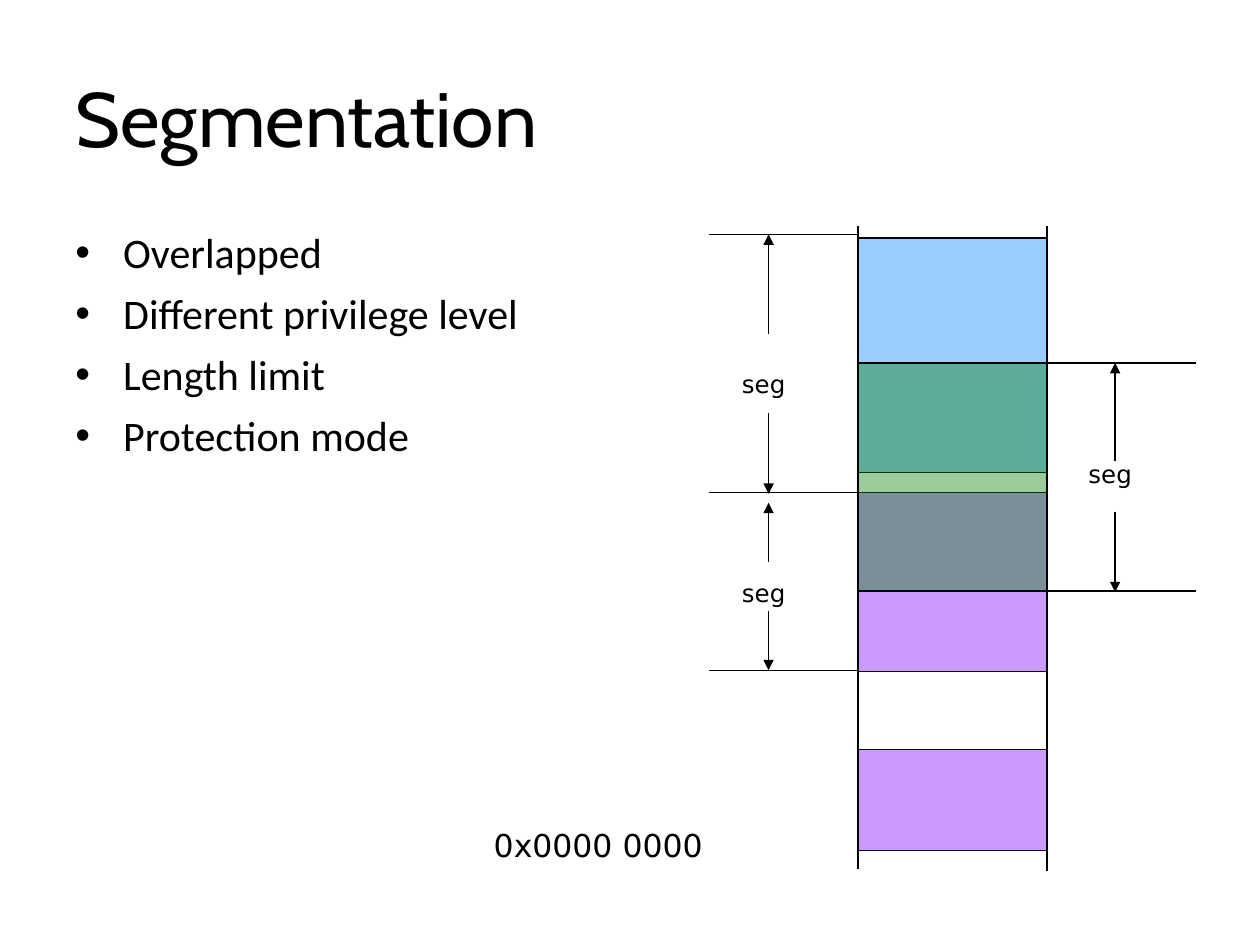
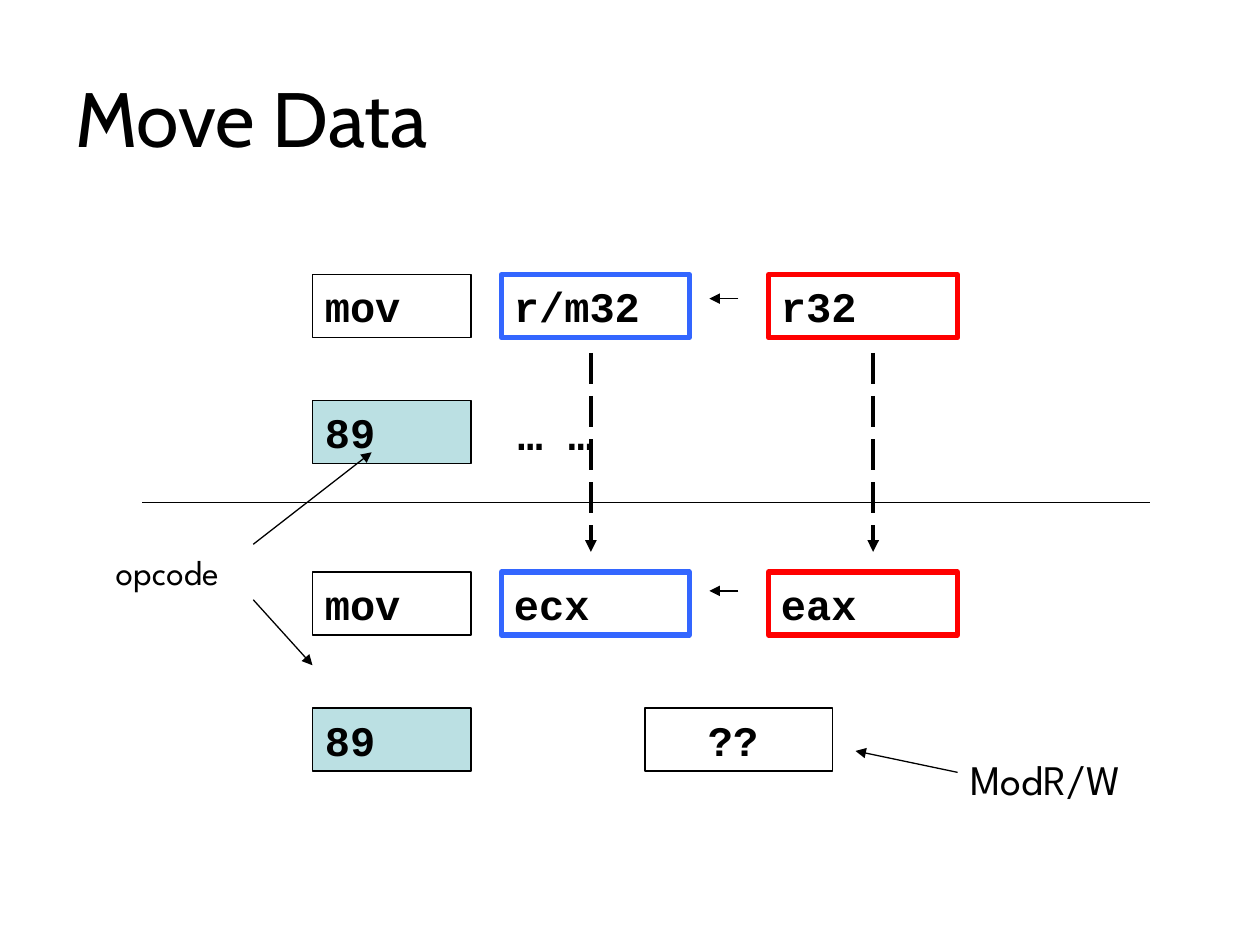
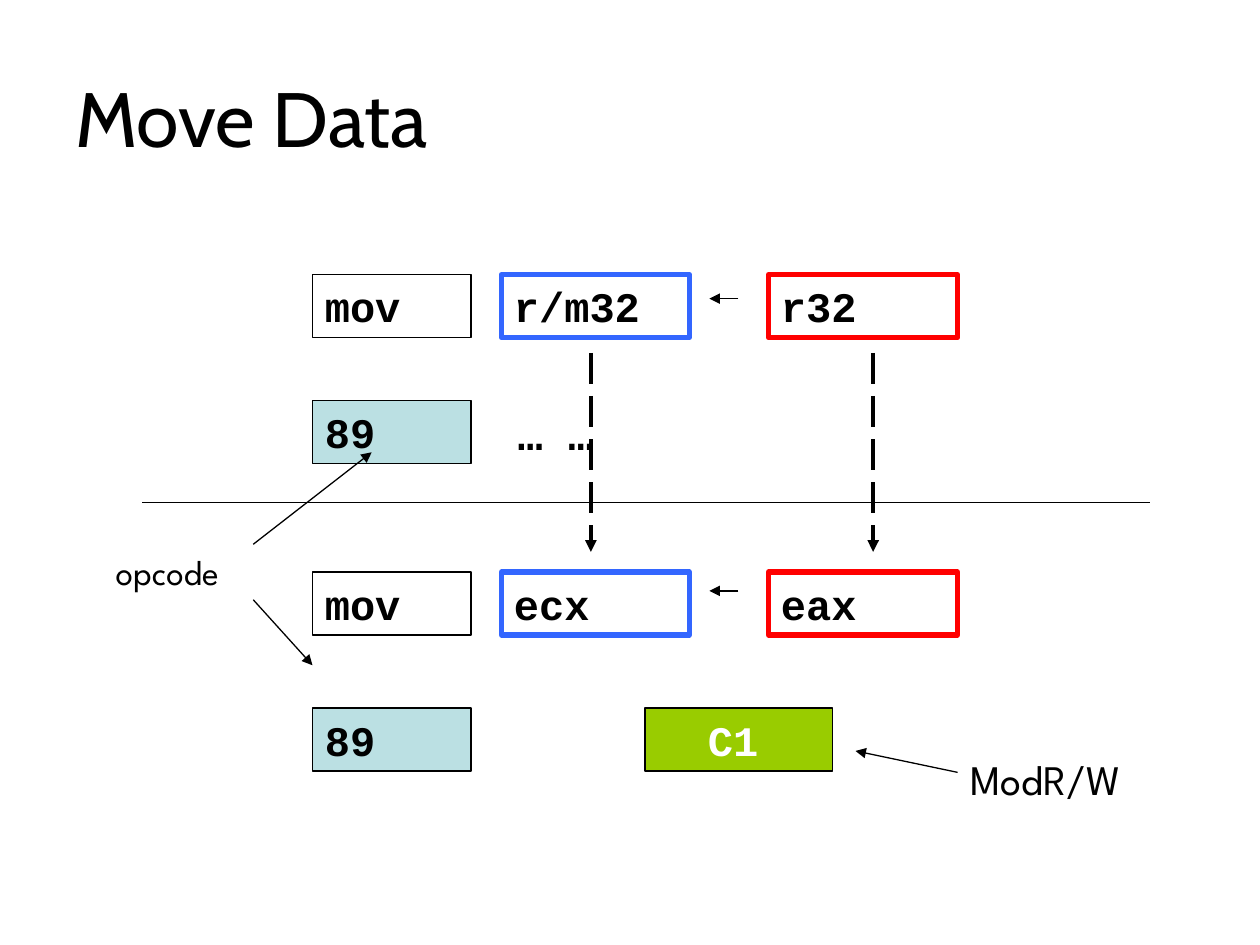
from dataclasses import dataclass

from lxml import etree
from pptx import Presentation
from pptx.dml.color import RGBColor
from pptx.enum.dml import MSO_LINE
from pptx.enum.shapes import MSO_CONNECTOR, MSO_SHAPE
from pptx.enum.text import MSO_ANCHOR, MSO_AUTO_SIZE, PP_ALIGN
from pptx.oxml.ns import qn
from pptx.util import Inches, Pt

RECTANGLE = MSO_SHAPE.RECTANGLE
STRAIGHT = MSO_CONNECTOR.STRAIGHT
LONG_DASH = MSO_LINE.LONG_DASH
TOP, MIDDLE = MSO_ANCHOR.TOP, MSO_ANCHOR.MIDDLE
GROW = MSO_AUTO_SIZE.SHAPE_TO_FIT_TEXT
LEFT = PP_ALIGN.LEFT


@dataclass(frozen=True)
class TextStyle:
    font: str
    size: int
    before: float = 0
    bold: bool = False


@dataclass(frozen=True)
class Theme:
    black: str = "000000"
    white: str = "FFFFFF"
    sky: str = "99CCFF"
    violet: str = "CC99FF"
    green: str = "008000"
    opcode: str = "BBE0E3"
    target: str = "3366FF"
    origin: str = "FF0000"
    solved: str = "99CC00"
    thin: float = 0.74
    dashed: float = 2.24
    thick: float = 3
    title: TextStyle = TextStyle("Cabin", 44)
    body: TextStyle = TextStyle("Calibri", 24, 6)
    address: TextStyle = TextStyle("DejaVu Sans", 18, 11.2)
    segment: TextStyle = TextStyle("DejaVu Sans", 14, 8.8)
    code: TextStyle = TextStyle("Courier New", 24, 15, True)
    note: TextStyle = TextStyle("League Spartan", 24, 15)
    small_note: TextStyle = TextStyle("League Spartan", 20, 12.5)


THEME = Theme()


@dataclass(frozen=True)
class Box:
    left: float
    top: float
    width: float
    height: float

    def at(self, x, y):
        return Inches(self.left + x), Inches(self.top + y)

    def inner(self, x, y, width, height):
        return Box(self.left + x, self.top + y, width, height)

    def frame(self):
        return (*self.at(0, 0), Inches(self.width), Inches(self.height))


# Shared drawing helpers
def write(shape, lines, style, color=THEME.black, anchor=TOP, indent=0):
    frame = shape.text_frame
    frame.text = "\n".join(lines)
    frame.word_wrap = True
    frame.vertical_anchor = anchor
    for paragraph in frame.paragraphs:
        paragraph.alignment = LEFT
        paragraph.space_before = Pt(style.before)
        if indent:
            paragraph._p.get_or_add_pPr().set("marL", str(Inches(indent)))
        font = paragraph.runs[0].font
        font.name, font.size, font.bold = style.font, Pt(style.size), style.bold
        font.color.rgb = RGBColor.from_string(color)
    return frame


def add_label(slide, box, text, style):
    write(slide.shapes.add_textbox(*box.frame()), [text], style).auto_size = GROW


def add_block(slide, box, fill=None, line=THEME.black, weight=THEME.thin, opacity=None):
    block = slide.shapes.add_shape(RECTANGLE, *box.frame())
    block.shadow.inherit = False
    if fill:
        block.fill.solid()
        block.fill.fore_color.rgb = RGBColor.from_string(fill)
    else:
        block.fill.background()
    if opacity:
        color = block._element.spPr.find(qn("a:solidFill"))[0]
        etree.SubElement(color, qn("a:alpha")).set("val", str(opacity * 1000))
    block.line.color.rgb = RGBColor.from_string(line)
    block.line.width = Pt(weight)
    return block


def add_line(slide, box, start, end, arrow=False, weight=THEME.thin, dash=None):
    connector = slide.shapes.add_connector(STRAIGHT, *box.at(*start), *box.at(*end))
    connector.line.color.rgb = RGBColor.from_string(THEME.black)
    connector.line.width = Pt(weight)
    if dash:
        connector.line.dash_style = dash
    properties = connector._element.spPr
    if arrow:
        tail = etree.SubElement(properties.find(qn("a:ln")), qn("a:tailEnd"))
        tail.set("type", "triangle")
    etree.SubElement(properties, qn("a:effectLst"))


def add_title(slide, box, text):
    write(slide.shapes.add_textbox(*box.frame()), [text], THEME.title, anchor=MIDDLE)


def add_bullets(slide, box, points):
    frame = write(slide.shapes.add_textbox(*box.frame()), points, THEME.body)
    hang = Inches(0.38)
    for paragraph in frame.paragraphs:
        properties = paragraph._p.get_or_add_pPr()
        properties.set("marL", str(hang))
        properties.set("indent", str(-hang))
        etree.SubElement(properties, qn("a:buFont")).set("typeface", "Arial")
        etree.SubElement(properties, qn("a:buChar")).set("char", "•")


# Memory column with overlapping segments on both sides
def add_memory_map(slide, box):
    tick = 1.18
    column_width = 1.5
    column_right = box.width - tick
    column_left = column_right - column_width
    tick_left = column_left - tick

    add_block(slide, box.inner(column_left, 0.1, column_width, 1.86), THEME.sky)
    for edge, bottom in ((column_left, 5.11), (column_right, box.height)):
        add_line(slide, box, (edge, 0), (edge, bottom))
    add_block(slide, box.inner(column_left, 2.12, column_width, 1.42), THEME.violet)
    add_block(slide, box.inner(column_left, 1.09, column_width, 1.81), THEME.green,
              opacity=40)
    add_block(slide, box.inner(column_left, 4.16, column_width, 0.8), THEME.violet)
    add_label(slide, box.inner(0, 4.72, 2.05, 0.4), "0x0000 0000", THEME.address)

    # Boundaries
    for start, levels in ((tick_left, (0.07, 2.12, 3.53)), (column_right, (1.09, 2.9))):
        for level in levels:
            add_line(slide, box, (start, level), (start + tick, level))

    # Extents: arrow x, label x, label y, label width, upward and downward arrows
    extents = (
        (2.28, 1.97, 1.09, 0.77, (0.86, 0.07), (1.49, 2.13)),
        (2.28, 1.97, 2.75, 0.7, (2.67, 2.2), (3.06, 3.53)),
        (5.03, 4.72, 1.8, 0.77, (1.87, 1.09), (2.27, 2.91)),
    )
    for x, label_x, label_y, label_width, *arrows in extents:
        add_label(slide, box.inner(label_x, label_y, label_width, 0.34), "seg",
                  THEME.segment)
        for start, end in arrows:
            add_line(slide, box, (x, start), (x, end), arrow=True)


# Instruction form above the rule, its encoding example below
def add_encoding(slide, box, modrm, modrm_fill, modrm_color):
    row_height = 0.5
    mnemonic_x, mnemonic_width = 1.66, 1.26

    def add_cell(x, y, width, text, color=THEME.black, indent=0, **look):
        block = add_block(slide, box.inner(x, y, width, row_height), **look)
        write(block, [text], THEME.code, color, indent=indent).auto_size = GROW

    # Assembly and opcode rows
    rows = (
        (0, "r/m32", "r32", 0.19, 1),
        (2.36, "ecx", "eax", 2.51, 3.44),
    )
    for y, target, origin, arrow_y, opcode_y in rows:
        add_cell(mnemonic_x, y, mnemonic_width, "mov")
        add_cell(3.16, y, 1.49, target, line=THEME.target, weight=THEME.thick)
        add_cell(5.28, y, 1.5, origin, line=THEME.origin, weight=THEME.thick)
        add_cell(mnemonic_x, opcode_y, mnemonic_width, "89", fill=THEME.opcode)
        add_line(slide, box, (5.04, arrow_y), (4.81, arrow_y), arrow=True)
    add_label(slide, box.inner(3.19, 1.01, 2.91, row_height), "… …", THEME.code)
    add_line(slide, box, (0.31, 1.81), (8.31, 1.81))

    # ModR/W byte
    add_cell(4.3, 3.44, 1.49, modrm, modrm_color, indent=0.4, fill=modrm_fill)
    add_label(slide, box.inner(6.78, 3.75, 1.81, row_height), "ModR/W", THEME.note)
    add_line(slide, box, (6.78, 3.95), (5.97, 3.78), arrow=True)

    # Opcode note
    add_label(slide, box.inner(0, 2.14, 1.42, 0.44), "opcode", THEME.small_note)
    add_line(slide, box, (1.19, 2.14), (2.13, 1.41), arrow=True)
    add_line(slide, box, (1.19, 2.58), (1.66, 3.1), arrow=True)

    # Operand substitution
    for x in (6.11, 3.87):
        add_line(slide, box, (x, 0.62), (x, 2.2), True, THEME.dashed, LONG_DASH)


def build_segmentation(slide):
    add_title(slide, Box(0.5, 0.3, 9, 1.25), "Segmentation")
    add_bullets(slide, Box(0.5, 1.75, 3.76, 4.95),
                ["Overlapped", "Different privilege level", "Length limit",
                 "Protection mode"])
    add_memory_map(slide, Box(3.82, 1.79, 5.67, 5.12))


def build_move_data(slide, modrm, fill, color):
    add_title(slide, Box(0.5, 0.3, 8.5, 1.25), "Move Data")
    add_encoding(slide, Box(0.82, 2.18, 8.59, 3.94), modrm, fill, color)


def main():
    deck = Presentation()
    deck.slide_width, deck.slide_height = Inches(10), Inches(7.5)
    blank = deck.slide_layouts[6]
    build_segmentation(deck.slides.add_slide(blank))
    for modrm, fill, color in (("??", None, THEME.black),
                               ("C1", THEME.solved, THEME.white)):
        build_move_data(deck.slides.add_slide(blank), modrm, fill, color)
    deck.save("out.pptx")


main()
